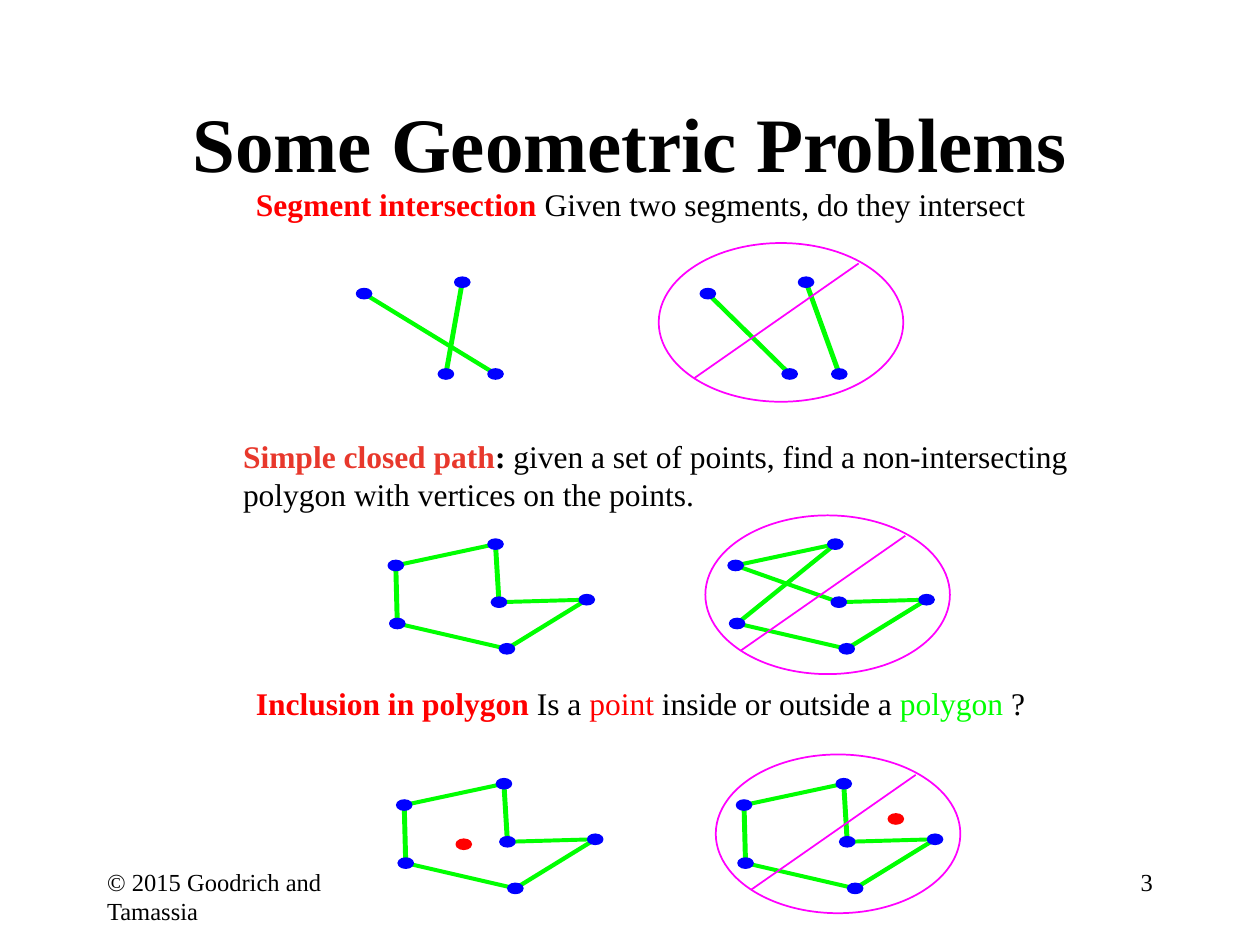
"""Build the slide on three geometric problems with their figures."""
import math

import lxml.etree
import pptx
import pptx.dml.color
import pptx.enum.shapes
import pptx.enum.text
import pptx.oxml.ns
import pptx.util

Cm = pptx.util.Cm
ALIGN = pptx.enum.text.PP_ALIGN
FIT = pptx.enum.text.MSO_AUTO_SIZE
SHAPE = pptx.enum.shapes.MSO_SHAPE

THEME = {
    "font": "Times New Roman", "title": 44, "body": 18, "footer": 14, "line": 1,
    "black": "000000", "red": "FF0000", "term": "E8382C",
    "edge": "00FF00", "vertex": "0000FF", "cross": "FF00FF",
}

TITLE = {"box": (1.91, 1.27, 21.59, 3.18), "size": "title", "align": ALIGN.CENTER,
         "runs": [("Some Geometric Problems", "black", True)],
         "frame": {"vertical_anchor": pptx.enum.text.MSO_ANCHOR.MIDDLE,
                   "auto_size": FIT.NONE}}
TIGHT = {"margin_left": 0, "margin_top": 0, "margin_right": 0, "margin_bottom": 0,
         "word_wrap": False, "auto_size": FIT.SHAPE_TO_FIT_TEXT}
WRAPPED = {"word_wrap": True}
TEXTS = [
    {"box": (5.16, 3.73, 15.67, 0.76), "size": "body", "align": ALIGN.LEFT, "frame": TIGHT,
     "runs": [("Segment intersection ", "red", True),
              ("Given two segments, do they intersect", "black", False)]},
    {"box": (4.65, 8.69, 17.58, 1.78), "size": "body", "align": ALIGN.LEFT, "frame": WRAPPED,
     "runs": [("Simple closed path", "term", True), (":", "black", True),
              (" given a set of points, find a non-intersecting polygon with vertices"
               " on the points.", "black", False)]},
    {"box": (5.16, 13.79, 15.67, 0.76), "size": "body", "align": ALIGN.LEFT, "frame": TIGHT,
     "runs": [("Inclusion in polygon ", "red", True), ("Is a ", "black", False),
              ("point ", "red", False), ("inside or outside a ", "black", False),
              ("polygon ", "edge", False), ("?", "black", False)]},
    {"box": (1.91, 17.35, 5.28, 1.27), "size": "footer", "align": ALIGN.LEFT, "frame": WRAPPED,
     "runs": [("© 2015 Goodrich and Tamassia", "black", False)]},
    {"box": (18.21, 17.35, 5.28, 1.27), "size": "footer", "align": ALIGN.RIGHT, "frame": WRAPPED,
     "runs": [("3", "black", False)]},
]

ENDS = [(0, 0), (1.98, -0.23), (1.65, 1.62), (2.65, 1.62)]
CORNERS = [(0, 0), (2.01, -0.43), (2.08, 0.74), (3.85, 0.69), (2.24, 1.68), (0.03, 1.17)]


def closed(order):
    return list(zip(order, order[1:] + order[:1]))


SIMPLE = closed([0, 1, 2, 3, 4, 5])
TANGLED = closed([0, 1, 5, 4, 3, 2])
FIGURES = [
    {"origin": (7.34, 5.92), "points": ENDS, "edges": [(0, 3), (1, 2)]},
    {"origin": (14.27, 5.92), "points": ENDS, "edges": [(0, 2), (1, 3)], "oval": (13.28, 4.9)},
    {"origin": (7.98, 11.4), "points": CORNERS, "edges": SIMPLE},
    {"origin": (14.83, 11.4), "points": CORNERS, "edges": TANGLED, "oval": (14.22, 10.39)},
    {"origin": (8.15, 16.23), "points": CORNERS, "edges": SIMPLE, "query": (9.35, 17.02)},
    {"origin": (15, 16.23), "points": CORNERS, "edges": SIMPLE, "query": (18.06, 16.51),
     "oval": (14.43, 15.21)},
]
DOT = (0.3, 0.2)
PEN = (0.05, 0.04)
OVAL = (4.93, 3.2)
SLASH = ((0.72, 2.72), (4.03, 0.41))


def color(name):
    return pptx.dml.color.RGBColor.from_string(THEME[name])


def style(sp, fill=None, line=None):
    sp.shadow.inherit = False
    for part, name in ((sp.fill, fill), (sp.line.fill, line)):
        if name:
            part.solid()
            part.fore_color.rgb = color(name)
        else:
            part.background()
    if line:
        sp.line.width = pptx.util.Pt(THEME["line"])


def write(sp, item):
    sp.left, sp.top, sp.width, sp.height = map(Cm, item["box"])
    tf = sp.text_frame
    for name, value in item["frame"].items():
        setattr(tf, name, value)
    p = tf.paragraphs[0]
    p.alignment = item["align"]
    for text, name, bold in item["runs"]:
        r = p.add_run()
        r.text = text
        fmt = {"name": THEME["font"], "size": pptx.util.Pt(THEME[item["size"]]), "bold": bold}
        for key, value in fmt.items():
            setattr(r.font, key, value)
        r.font.color.rgb = color(name)


def add_edge(shapes, a, b):
    dx, dy = b[0] - a[0], b[1] - a[1]
    length = math.hypot(dx, dy)
    ox, oy = -dy / length * PEN[0], dx / length * PEN[1]
    outline = [(Cm(x + s * ox), Cm(y + s * oy))
               for (x, y), s in ((a, -1), (a, 1), (b, 1), (b, -1))]
    builder = shapes.build_freeform(*outline[0])
    builder.add_line_segments(outline[1:], close=True)
    style(builder.convert_to_shape(), fill="edge")


def add_dot(shapes, center, name):
    corner = [c - d / 2 for c, d in zip(center, DOT)]
    style(shapes.add_shape(SHAPE.OVAL, *map(Cm, (*corner, *DOT))), name, name)


def add_cross(shapes, corner):
    style(shapes.add_shape(SHAPE.OVAL, *map(Cm, (*corner, *OVAL))), line="cross")
    ends = [Cm(c + d) for end in SLASH for c, d in zip(corner, end)]
    ln = shapes.add_connector(pptx.enum.shapes.MSO_CONNECTOR.STRAIGHT, *ends)
    ln.line.color.rgb = color("cross")
    ln.line.width = pptx.util.Pt(THEME["line"])
    lxml.etree.SubElement(ln._element.spPr, pptx.oxml.ns.qn("a:effectLst"))


def add_figure(shapes, fig):
    points = [(fig["origin"][0] + x, fig["origin"][1] + y) for x, y in fig["points"]]
    for i, j in fig["edges"]:
        add_edge(shapes, points[i], points[j])
    for point in points:
        add_dot(shapes, point, "vertex")
    if "oval" in fig:
        add_cross(shapes, fig["oval"])
    if "query" in fig:
        add_dot(shapes, fig["query"], "red")


def main():
    prs = pptx.Presentation()
    prs.slide_width, prs.slide_height = Cm(25.4), Cm(19.05)
    slide = prs.slides.add_slide(prs.slide_layouts[5])
    write(slide.shapes.title, TITLE)
    for item in TEXTS:
        write(slide.shapes.add_textbox(*map(Cm, item["box"])), item)
    for fig in FIGURES:
        add_figure(slide.shapes, fig)
    prs.save("out.pptx")


if __name__ == "__main__":
    main()
